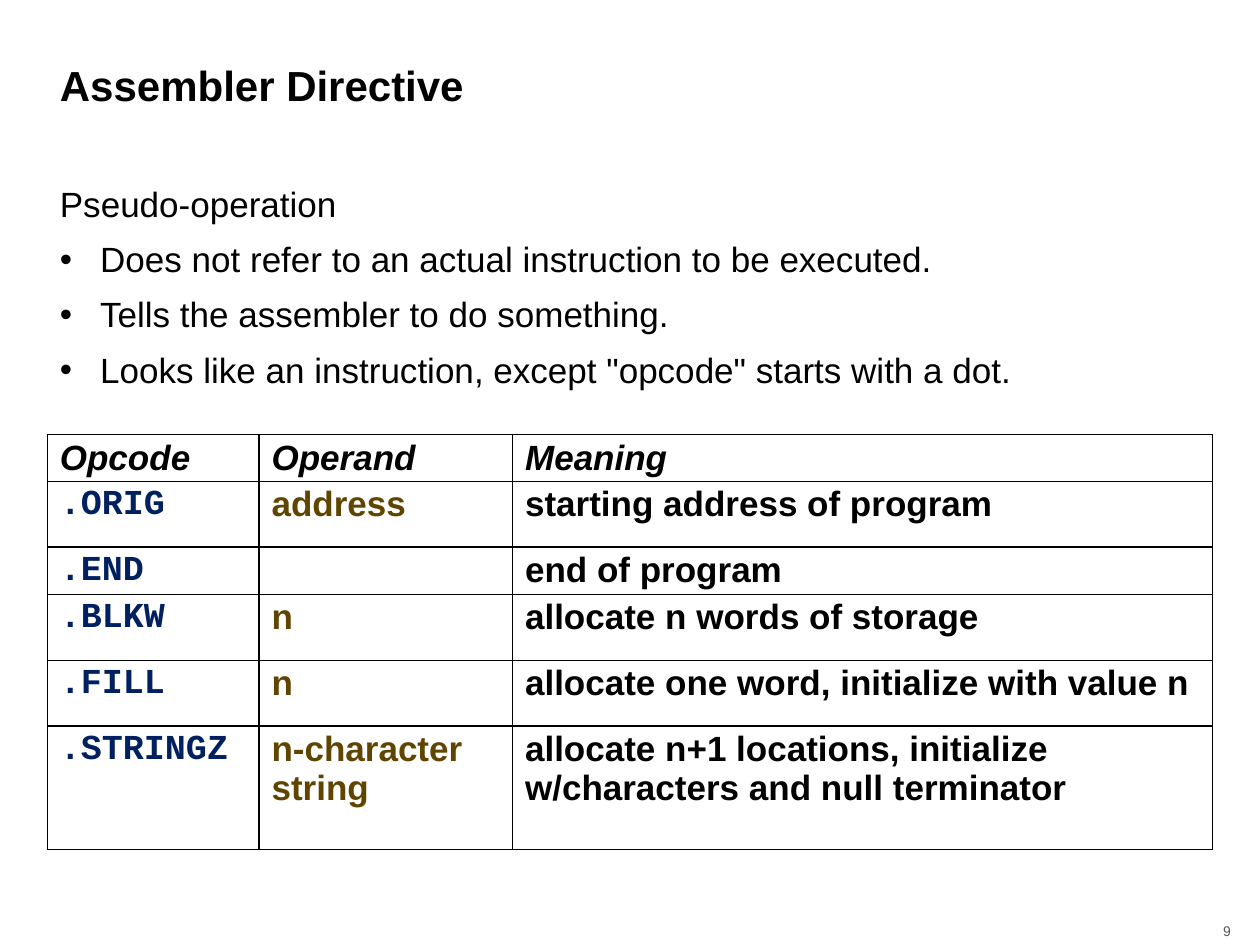
import pptx
import pptx.dml.color
import pptx.enum.text
import pptx.oxml.ns
import pptx.util
from lxml import etree

BLACK, NAVY, BROWN, GREY = "000000", "002060", "604500", "595959"
SANS, MONO = "Arial", "Courier New"

HEADINGS = ("Opcode", "Operand", "Meaning")
DIRECTIVES = (
    (".ORIG", "address", "starting address of program"),
    (".END", "", "end of program"),
    (".BLKW", "n", "allocate n words of storage"),
    (".FILL", "n", "allocate one word, initialize with value n"),
    (".STRINGZ", "n-character \vstring",
     "allocate n+1 locations, initialize w/characters and null terminator"),
)
BULLETS = (
    "Does not refer to an actual instruction to be executed.",
    "Tells the assembler to do something.",
    'Looks like an instruction, except "opcode" starts with a dot.',
)
COLUMN_STYLES = ((MONO, NAVY), (SANS, BROWN), (SANS, BLACK))


def color(hex_string):
    return pptx.dml.color.RGBColor.from_string(hex_string)


def add_xml(parent, tag, **attributes):
    return etree.SubElement(parent, pptx.oxml.ns.qn(tag), attributes)


class DirectivePage:
    """Places elements on a grid of 80 columns by 60 rows."""

    LEFT, WIDTH = 3, 74

    def __init__(self, deck):
        self.unit_x = deck.slide_width / 80
        self.unit_y = deck.slide_height / 60
        self.page = deck.slides.add_slide(deck.slide_layouts[1])

    def area(self, left, top, width, height):
        return (round(left * self.unit_x), round(top * self.unit_y),
                round(width * self.unit_x), round(height * self.unit_y))

    def style(self, para, size, font=SANS, ink=BLACK, bold=False, italic=False):
        for span in para.runs:
            span.font.size = pptx.util.Pt(size)
            span.font.name = font
            span.font.color.rgb = color(ink)
            span.font.bold = bold
            span.font.italic = italic

    def place(self, box, top, height):
        box.left, box.top, box.width, box.height = self.area(
            self.LEFT, top, self.WIDTH, height)
        box.text_frame.auto_size = pptx.enum.text.MSO_AUTO_SIZE.NONE

    def title(self, text, top, height):
        box = self.page.shapes.title
        self.place(box, top, height)
        box.text_frame.text = text
        para = box.text_frame.paragraphs[0]
        para.alignment = pptx.enum.text.PP_ALIGN.LEFT
        para.line_spacing = 0.9
        self.style(para, 24, bold=True)

    def bullet_list(self, lead, items, top, height):
        box = self.page.placeholders[1]
        self.place(box, top, height)
        box.text_frame.text = "\n".join((lead, *items))
        for index, para in enumerate(box.text_frame.paragraphs):
            para.space_before = pptx.util.Pt(10)
            para.line_spacing = 0.9 if index else 1.0
            indent = pptx.util.Inches(0.32) if index else 0
            properties = para._p.get_or_add_pPr()
            properties.set("marL", str(indent))
            properties.set("indent", str(-indent))
            if index:
                add_xml(properties, "a:buFont", typeface=SANS)
                add_xml(properties, "a:buChar", char="•")
            else:
                add_xml(properties, "a:buNone")
            self.style(para, 20)

    def table(self, rows, top, widths, heights):
        frame = self.page.shapes.add_table(
            len(rows), len(widths),
            *self.area(self.LEFT, top, sum(widths), sum(heights)))
        grid = frame.table
        grid.first_row = grid.horz_banding = False
        for column, width in zip(grid.columns, widths):
            column.width = round(width * self.unit_x)
        for row, height in zip(grid.rows, heights):
            row.height = round(height * self.unit_y)
        for r, texts in enumerate(rows):
            for c, text in enumerate(texts):
                font, ink = COLUMN_STYLES[c] if r else (SANS, BLACK)
                self.cell(grid.cell(r, c), text, font, ink, italic=r == 0)

    def cell(self, cell, text, font, ink, italic):
        cell.margin_left = cell.margin_right = pptx.util.Inches(0.1)
        cell.margin_top = cell.margin_bottom = pptx.util.Inches(0.03)
        properties = cell._tc.get_or_add_tcPr()
        for side in ("a:lnL", "a:lnR", "a:lnT", "a:lnB"):
            line = add_xml(properties, side, w=str(pptx.util.Pt(1)))
            add_xml(add_xml(line, "a:solidFill"), "a:srgbClr", val=BLACK)
        cell.fill.background()
        para = cell.text_frame.paragraphs[0]
        para.text = text
        self.style(para, 20, font, ink, bold=True, italic=italic)

    def page_number(self, text, *place):
        box = self.page.shapes.add_textbox(*self.area(*place))
        frame = box.text_frame
        frame.word_wrap = True
        frame.vertical_anchor = pptx.enum.text.MSO_ANCHOR.MIDDLE
        frame.margin_left = frame.margin_right = pptx.util.Inches(0.05)
        frame.margin_top = frame.margin_bottom = pptx.util.Inches(0.05)
        frame.text = text
        para = frame.paragraphs[0]
        para.alignment = pptx.enum.text.PP_ALIGN.RIGHT
        self.style(para, 8, ink=GREY)


def main():
    deck = pptx.Presentation()
    deck.slide_width = pptx.util.Inches(10)
    deck.slide_height = pptx.util.Inches(7.5)
    page = DirectivePage(deck)
    page.title("Assembler Directive", 2.64, 5.92)
    page.bullet_list("Pseudo-operation", BULLETS, 11.2, 14.96)
    page.table((HEADINGS, *DIRECTIVES), 27.6,
               widths=(13.44, 16.1, 44.46),
               heights=(2.72, 4.18, 2.72, 4.18, 4.18, 7.84))
    page.page_number("9", 75.44, 58.4, 3.12, 1.44)
    deck.save("out.pptx")


if __name__ == "__main__":
    main()
